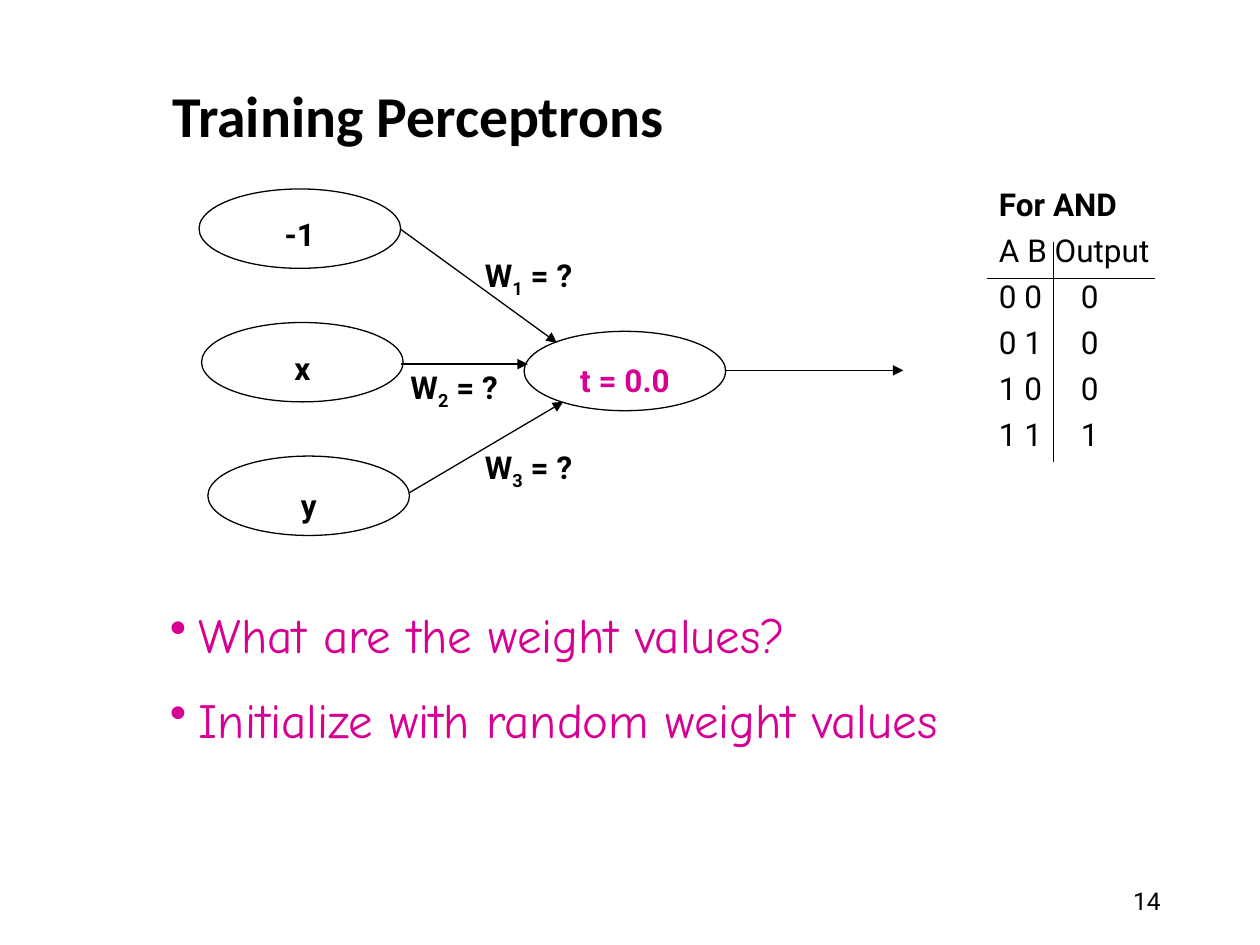
import pptx
import pptx.dml.color
import pptx.enum.shapes
import pptx.enum.text
import pptx.oxml
import pptx.oxml.ns
import pptx.util
from pptx.util import Inches

BLACK, WHITE, MAGENTA = "000000", "FFFFFF", "D60093"
ALIGN = pptx.enum.text.PP_ALIGN
ANCHOR = pptx.enum.text.MSO_ANCHOR

LABEL = {"size": pptx.util.Pt(18), "name": "Roboto", "bold": True}
PLAIN = {**LABEL, "bold": False}
TITLE = {"size": pptx.util.Pt(33), "name": "Calibri", "bold": True}
BULLET = {"size": pptx.util.Pt(28), "name": "Comic Neue", "bold": False}
NUMBER = {"size": pptx.util.Pt(14), "name": "Roboto", "bold": False}

NODE_WIDTH, NODE_HEIGHT = 1.6, 0.63
LABEL_WIDTH, LABEL_HEIGHT = 1.39, 0.3

# Text, left, top, label drop below the top of the node, colour
NODES = [
    ("t = 0.0", 4.16, 2.63, 0.19, MAGENTA),
    ("y", 1.65, 3.62, 0.19, BLACK),
    ("x", 1.6, 2.56, 0.16, BLACK),
    ("-1", 1.58, 1.5, 0.16, BLACK),
]
ARROWS = [
    ((3.18, 1.82), (4.42, 2.72)),
    ((3.18, 2.89), (4.19, 2.89)),
    ((3.25, 3.91), (4.47, 3.19)),
    ((5.76, 2.94), (7.17, 2.94)),
]
WEIGHTS = [("1", 3.5, 1.98), ("2", 2.91, 2.87), ("3", 3.5, 3.51)]
TRUTH_LINES = ["For AND", "A B Output", "0 0\t0", "0 1\t0", "1 0\t0", "1 1\t1"]
BULLETS = [
    ("What are the weight values?", 4.75, 6.5),
    ("Initialize with random weight values", 5.42, 7.5),
]


def rgb(color):
    return pptx.dml.color.RGBColor.from_string(color)


def add_element(parent, xml):
    """Append an element, written with the a: prefix, to parent."""
    tag, _, rest = xml.partition(" ")
    namespace = pptx.oxml.ns.nsdecls("a")
    parent.append(pptx.oxml.parse_xml(f"<a:{tag} {namespace} {rest}/>"))


def add_run(paragraph, text, style, color=BLACK):
    run = paragraph.add_run()
    run.text = text
    for attribute, value in style.items():
        setattr(run.font, attribute, value)
    run.font.color.rgb = rgb(color)
    return run


def add_text_box(slide, left, top, width, height, align=ALIGN.LEFT):
    """Add a wrapping text box and return its text frame."""
    box = slide.shapes.add_textbox(*map(Inches, (left, top, width, height)))
    frame = box.text_frame
    frame.word_wrap = True
    frame.paragraphs[0].alignment = align
    return frame


def add_line(slide, start, end, arrow=False):
    line = slide.shapes.add_connector(
        pptx.enum.shapes.MSO_CONNECTOR.STRAIGHT, *map(Inches, start + end))
    line.line.color.rgb = rgb(BLACK)
    line.line.width = pptx.util.Pt(0.75)
    if arrow:
        add_element(line.line._get_or_add_ln(), 'tailEnd type="triangle"')
    add_element(line._element.spPr, "effectLst")


def add_node(slide, text, left, top, label_drop, color):
    """Add an ellipse and the label that sits slightly below its centre."""
    node = slide.shapes.add_shape(
        pptx.enum.shapes.MSO_SHAPE.OVAL,
        *map(Inches, (left, top, NODE_WIDTH, NODE_HEIGHT)))
    node.shadow.inherit = False
    node.fill.solid()
    node.fill.fore_color.rgb = rgb(WHITE)
    node.line.color.rgb = rgb(BLACK)
    node.line.width = pptx.util.Pt(0.75)
    label_left = left + (NODE_WIDTH - LABEL_WIDTH) / 2
    frame = add_text_box(slide, label_left, top + label_drop,
                         LABEL_WIDTH, LABEL_HEIGHT, ALIGN.CENTER)
    add_run(frame.paragraphs[0], text, LABEL, color)


def add_weight(slide, index, left, top):
    frame = add_text_box(slide, left, top, LABEL_WIDTH, LABEL_HEIGHT, ALIGN.CENTER)
    paragraph = frame.paragraphs[0]
    add_run(paragraph, "W", LABEL)
    subscript = add_run(paragraph, index, LABEL)
    subscript.font._element.set("baseline", "-25000")
    add_run(paragraph, " = ?", LABEL)


def add_truth_table(slide):
    """Add the lines of the AND table, with outputs on a tab stop, and its rules."""
    frame = add_text_box(slide, 7.83, 1.5, 1.41, 2.35)
    for index, text in enumerate(TRUTH_LINES):
        paragraph = frame.add_paragraph() if index else frame.paragraphs[0]
        paragraph.line_spacing = 0.7
        paragraph.space_before = pptx.util.Pt(11.2)
        properties = paragraph._p.get_or_add_pPr()
        add_element(properties, "tabLst")
        add_element(properties[-1], f'tab pos="{Inches(0.65)}" algn="l"')
        add_run(paragraph, text, PLAIN if index else LABEL)
    add_line(slide, (7.83, 2.21), (9.17, 2.21))
    add_line(slide, (8.36, 1.92), (8.36, 3.67))


def add_bullet(slide, text, top, width):
    paragraph = add_text_box(slide, 1.25, top, width, 0.57).paragraphs[0]
    paragraph.space_before = pptx.util.Pt(17.5)
    properties = paragraph._p.get_or_add_pPr()
    properties.set("marL", str(Inches(0.23)))
    properties.set("indent", str(-Inches(0.23)))
    add_element(properties, "buClr")
    add_element(properties[-1], f'srgbClr val="{MAGENTA}"')
    add_element(properties, 'buChar char="•"')
    add_run(paragraph, text, BULLET, MAGENTA)


def set_title(slide, text):
    title = slide.shapes.title
    place = {"left": 1.27, "top": 0.5, "width": 8.52, "height": 0.89}
    for attribute, value in place.items():
        setattr(title, attribute, Inches(value))
    title.text_frame.vertical_anchor = ANCHOR.MIDDLE
    paragraph = title.text_frame.paragraphs[0]
    paragraph.alignment = ALIGN.LEFT
    paragraph.line_spacing = 0.9
    add_run(paragraph, text, TITLE)


def main():
    presentation = pptx.Presentation()
    presentation.slide_width = Inches(10)
    presentation.slide_height = Inches(7.5)
    slide = presentation.slides.add_slide(presentation.slide_layouts[5])
    set_title(slide, "Training Perceptrons")

    # Slide number
    frame = add_text_box(slide, 7.06, 6.95, 2.25, 0.4, ALIGN.RIGHT)
    frame.vertical_anchor = ANCHOR.MIDDLE
    add_run(frame.paragraphs[0], "14", NUMBER)

    # Perceptron diagram
    for node in NODES:
        add_node(slide, *node)
    for start, end in ARROWS:
        add_line(slide, start, end, arrow=True)
    for weight in WEIGHTS:
        add_weight(slide, *weight)

    add_truth_table(slide)

    # Questions below the diagram
    for bullet in BULLETS:
        add_bullet(slide, *bullet)

    presentation.save("out.pptx")


if __name__ == "__main__":
    main()
